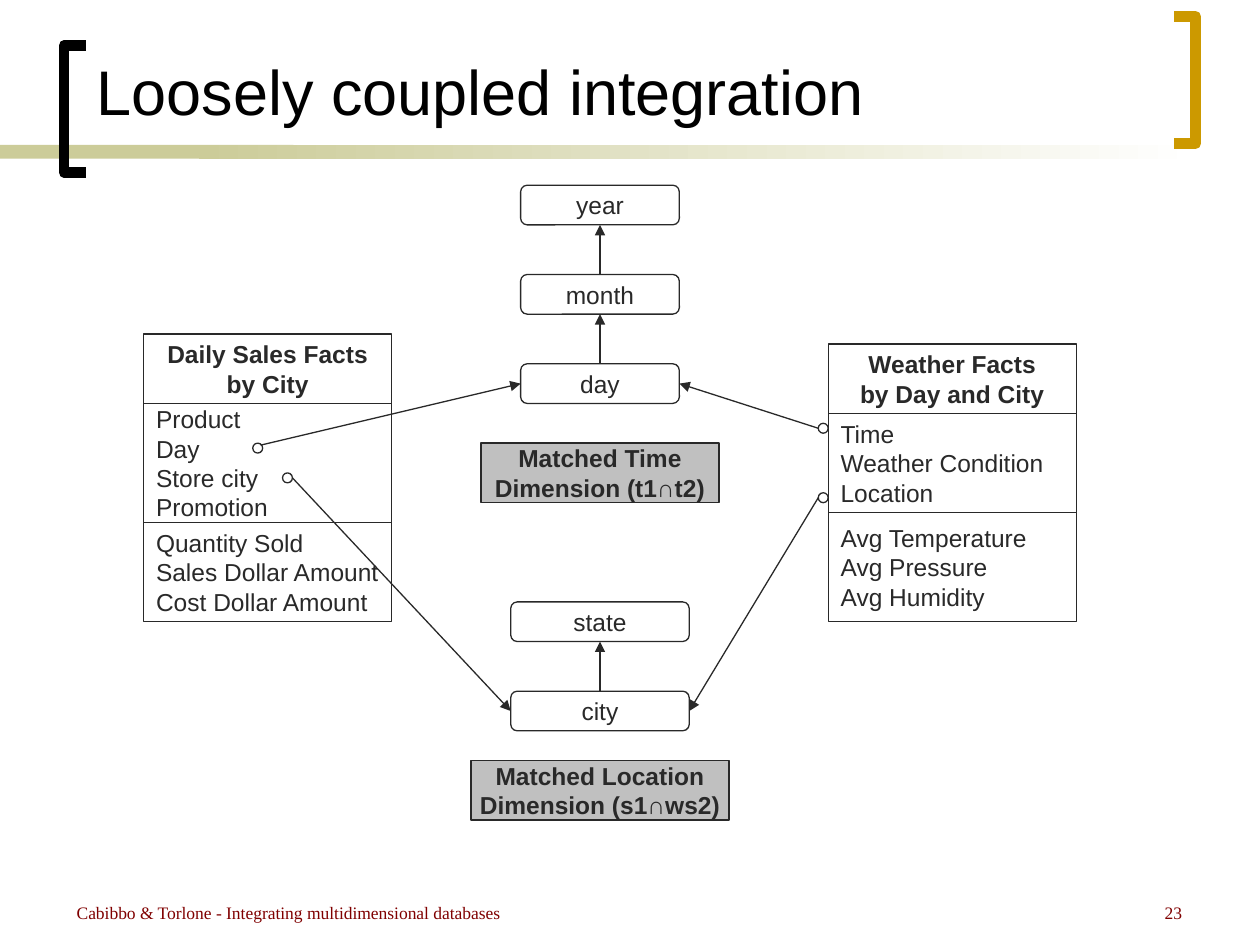
import pptx
import pptx.util
import pptx.dml.color
import pptx.enum.shapes
import pptx.enum.text
import pptx.oxml.ns
from lxml import etree

RGBColor = pptx.dml.color.RGBColor
INK = RGBColor(0x29, 0x29, 0x29)
BLACK = RGBColor(0, 0, 0)
WHITE = RGBColor(0xFF, 0xFF, 0xFF)
GREY = RGBColor(0xC0, 0xC0, 0xC0)
OLIVE = RGBColor(0xCC, 0xCC, 0x99)
GOLD = RGBColor(0xCC, 0x99, 0x00)
MAROON = RGBColor(0x80, 0, 0)

SHAPES = pptx.enum.shapes.MSO_SHAPE
ALIGN = pptx.enum.text.PP_ALIGN
ANCHOR = pptx.enum.text.MSO_ANCHOR
CELL = pptx.util.Mm(2)
GRID_LEFT = pptx.util.Inches(1.14)
GRID_TOP = pptx.util.Inches(1.47)


class Diagram:
    """Draws on one slide: diagram parts in grid cells, page frame in percent."""

    def __init__(self, deck):
        self.width, self.height = deck.slide_width, deck.slide_height
        self.shapes = deck.slides.add_slide(deck.slide_layouts[6]).shapes

    def cell(self, column, row):
        return int(GRID_LEFT + column * CELL), int(GRID_TOP + row * CELL)

    def percent(self, x, y):
        return int(self.width * x / 100), int(self.height * y / 100)

    def set_text(self, shape, lines, size, font, color, align, bold=False):
        frame = shape.text_frame
        frame.word_wrap = True
        frame.text = "\n".join(lines)
        for para in frame.paragraphs:
            para.alignment = align
            for span in para.runs:
                span.font.size = pptx.util.Pt(size)
                span.font.name = font
                span.font.bold = bold
                span.font.color.rgb = color
        return frame

    def box(self, column, row, columns, rows, lines=(), kind=SHAPES.RECTANGLE,
            fill=None, align=ALIGN.CENTER, bold=False):
        shape = self.shapes.add_shape(
            kind, *self.cell(column, row), int(columns * CELL), int(rows * CELL))
        shape.shadow.inherit = False
        shape.line.color.rgb = INK
        shape.line.width = pptx.util.Pt(0.75)
        if fill is None:
            shape.fill.background()
        else:
            shape.fill.solid()
            shape.fill.fore_color.rgb = fill
        if lines:
            frame = self.set_text(shape, lines, 14, "Arial", INK, align, bold)
            frame.vertical_anchor = ANCHOR.MIDDLE
            frame.margin_top = frame.margin_bottom = frame.margin_right = 0
            frame.margin_left = pptx.util.Inches(0.1 if align == ALIGN.LEFT else 0)

    def level(self, column, row, columns, name):
        self.box(column, row, columns, 4, [name], SHAPES.ROUNDED_RECTANGLE)

    def fact_table(self, column, row, sections):
        """Stacks (rows, lines) sections; the first one is the heading."""
        for index, (rows, lines) in enumerate(sections):
            heading = index == 0
            self.box(column, row, 25, rows, lines, bold=heading,
                     align=ALIGN.CENTER if heading else ALIGN.LEFT)
            row += rows

    def port(self, column, row):
        self.box(column, row, 1, 1, kind=SHAPES.OVAL)

    def arrow(self, start, end):
        connector = self.shapes.add_connector(
            pptx.enum.shapes.MSO_CONNECTOR.STRAIGHT, *self.cell(*start), *self.cell(*end))
        connector.line.color.rgb = INK
        connector.line.width = pptx.util.Pt(0.75)
        qn = pptx.oxml.ns.qn
        properties = connector.element.spPr
        etree.SubElement(properties.find(qn("a:ln")), qn("a:tailEnd"), type="triangle")
        etree.SubElement(properties, qn("a:effectLst"))

    def bar(self, left, width, fades=False):
        shape = self.shapes.add_shape(
            SHAPES.RECTANGLE, *self.percent(left, 15.33), *self.percent(width, 1.47))
        shape.shadow.inherit = False
        shape.line.fill.background()
        if fades:
            shape.fill.gradient()
            shape.fill.gradient_angle = 0
            for stop, color, position in zip(shape.fill.gradient_stops, (OLIVE, WHITE), (0, 1)):
                stop.color.rgb = color
                stop.position = position
        else:
            shape.fill.solid()
            shape.fill.fore_color.rgb = OLIVE

    def bracket(self, tip, spine, top, bottom, color):
        corners = [self.percent(x, y) for x, y in
                   ((tip, top), (spine, top), (spine, bottom), (tip, bottom))]
        builder = self.shapes.build_freeform(*corners[0], scale=1.0)
        builder.add_line_segments(corners[1:], close=False)
        shape = builder.convert_to_shape()
        shape.shadow.inherit = False
        shape.fill.background()
        shape.line.color.rgb = color
        shape.line.width = pptx.util.Pt(6)

    def label(self, left, top, width, height, text, size, font, color,
              align=ALIGN.LEFT, anchor=ANCHOR.TOP):
        shape = self.shapes.add_textbox(*self.percent(left, top), *self.percent(width, height))
        self.set_text(shape, [text], size, font, color, align).vertical_anchor = anchor


def draw_page_frame(page):
    page.bar(0, 23.3)
    page.bar(15.8, 79.2, fades=True)
    page.bracket(6.8, 5.1, 4.8, 18.27, BLACK)
    page.bracket(93.2, 94.9, 1.73, 15.2, GOLD)
    page.label(6.7, 4.8, 85, 9.47, "Loosely coupled integration", 36, "Arial", BLACK,
               anchor=ANCHOR.BOTTOM)
    footer = (10, "Times New Roman", MAROON)
    page.label(5.1, 94.8, 66.9, 3.47,
               "Cabibbo & Torlone - Integrating multidimensional databases", *footer)
    page.label(74, 94.8, 20.8, 3.47, "23", *footer, align=ALIGN.RIGHT)


def draw_integration(page):
    page.fact_table(0, 15, [
        (7, ["Daily Sales Facts", "by City"]),
        (12, ["Product", "Day", "Store city", "Promotion"]),
        (10, ["Quantity Sold", "Sales Dollar Amount", "Cost Dollar Amount"])])
    page.fact_table(69, 16, [
        (7, ["Weather Facts", "by Day and City"]),
        (10, ["Time", "Weather Condition", "Location"]),
        (11, ["Avg Temperature", "Avg Pressure", "Avg Humidity"])])

    for row, name in ((0, "year"), (9, "month"), (18, "day")):
        page.level(38, row, 16, name)
    for row, name in ((42, "state"), (51, "city")):
        page.level(37, row, 18, name)
    for row in (9, 18, 51):
        page.arrow((46, row), (46, row - 5))

    page.box(34, 26, 24, 6, ["Matched Time", "Dimension (t1∩t2)"], fill=GREY, bold=True)
    page.box(33, 58, 26, 6, ["Matched Location", "Dimension (s1∩ws2)"], fill=GREY, bold=True)

    for port, start, end in (
            ((11, 26), (11.8, 26.2), (38, 20)),
            ((14, 29), (15, 29.5), (37, 53)),
            ((68, 24), (68, 24.5), (54, 20)),
            ((68, 31), (68, 31.5), (55, 53))):
        page.port(*port)
        page.arrow(start, end)


def main():
    deck = pptx.Presentation()
    deck.slide_width = pptx.util.Inches(10)
    deck.slide_height = pptx.util.Inches(7.5)
    page = Diagram(deck)
    draw_page_frame(page)
    draw_integration(page)
    deck.save("out.pptx")


if __name__ == "__main__":
    main()
